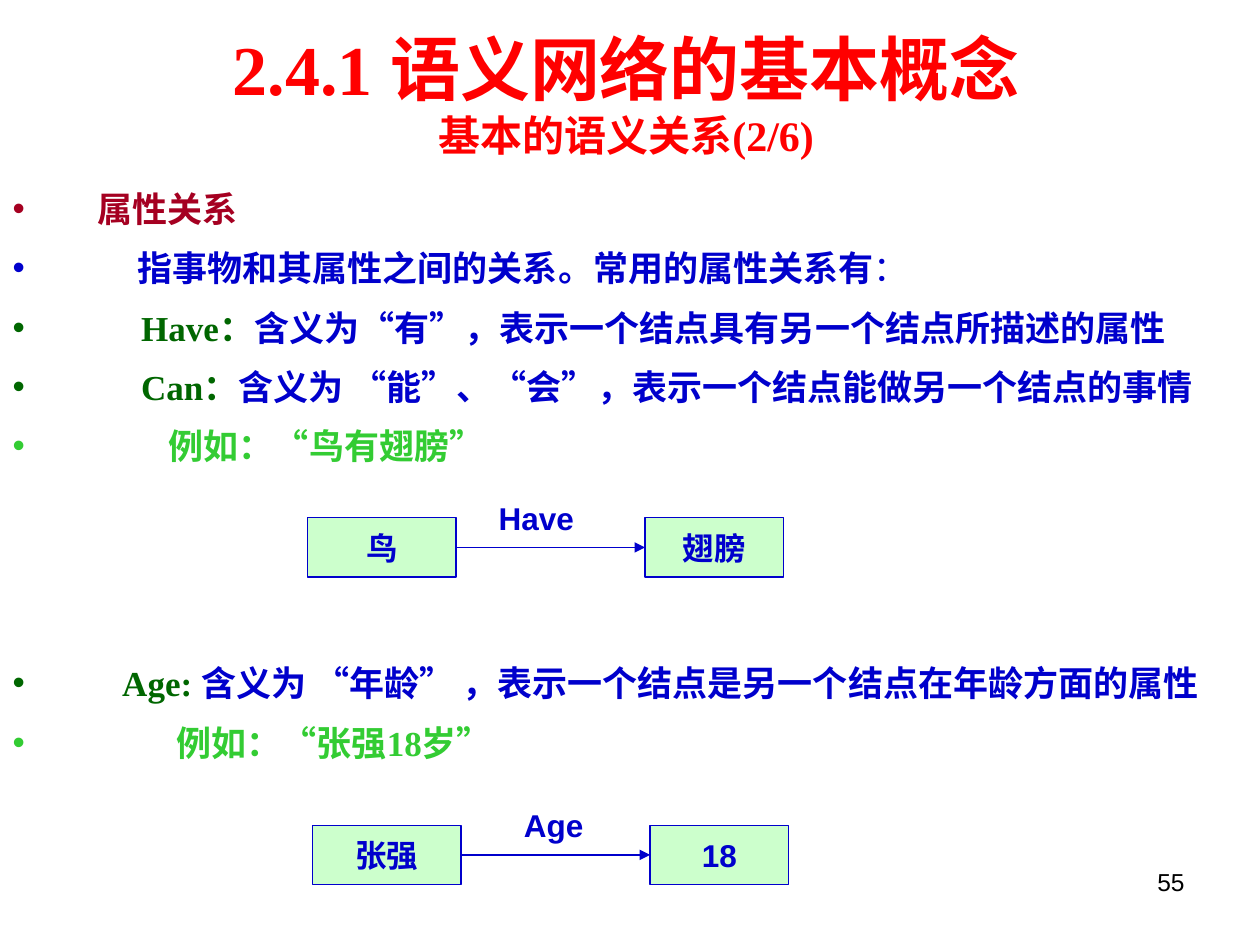
"""Build the slide on attribute relations in semantic networks."""
from dataclasses import dataclass

from lxml import etree
from pptx import Presentation
from pptx.dml.color import RGBColor
from pptx.enum.shapes import MSO_CONNECTOR, MSO_SHAPE
from pptx.enum.text import MSO_ANCHOR, MSO_AUTO_SIZE, PP_ALIGN
from pptx.oxml.ns import qn
from pptx.util import Inches, Pt

RECT = MSO_SHAPE.RECTANGLE
STRAIGHT = MSO_CONNECTOR.STRAIGHT
MIDDLE = MSO_ANCHOR.MIDDLE
NO_FIT = MSO_AUTO_SIZE.NONE
LEFT, CENTER, RIGHT = PP_ALIGN.LEFT, PP_ALIGN.CENTER, PP_ALIGN.RIGHT

SERIF, SANS = "Times New Roman", "Arial"
RED, MAROON, BLUE = "FF0000", "A50021", "0000CC"
GREEN, LIME, MINT, BLACK = "006600", "33CC33", "CCFFCC", "000000"


@dataclass
class Bullet:
    """A body line: coloured lead, then blue rest."""
    lead: str
    color: str
    indent: float
    rest: str = ""
    rest_bold: bool = True
    before: float = 6.2


@dataclass
class Relation:
    """Two nodes joined by a labelled arrow."""
    left: float
    top: float
    source: str
    target: str
    label: str
    label_left: float
    label_width: float


BULLETS = [
    Bullet("属性关系", MAROON, 0.67),
    Bullet("指事物和其属性之间的关系。常用的属性关系有", BLUE, 0.99, "：", rest_bold=False),
    Bullet("Have：", GREEN, 1.02, "含义为“有”，表示一个结点具有另一个结点所描述的属性"),
    Bullet("Can：", GREEN, 1.02, "含义为 “能”、“会”，表示一个结点能做另一个结点的事情"),
    Bullet("例如：“鸟有翅膀”", LIME, 1.24),
    Bullet("Age: ", GREEN, 0.87, "含义为 “年龄” ，表示一个结点是另一个结点在年龄方面的属性", before=108),
    Bullet("例如：“张强18岁”", LIME, 1.3),
]
RELATIONS = [
    Relation(2.44, 4.11, "鸟", "翅膀", "Have", 3.86, 1.02),
    Relation(2.48, 6.55, "张强", "18", "Age", 4.06, 0.71),
]


def rgb(color: str) -> RGBColor:
    """Turn a hex string into a colour."""
    return RGBColor.from_string(color)


def set_font(font, name: str, size: float, color: str, bold: bool = True) -> None:
    """Set the face, size, colour and weight of a font."""
    font.name, font.size, font.bold = name, Pt(size), bold
    font.color.rgb = rgb(color)


def place(sp, left: float, top: float, width: float, height: float) -> None:
    """Move and size a shape in inches."""
    sp.left, sp.top = Inches(left), Inches(top)
    sp.width, sp.height = Inches(width), Inches(height)


def add_run(p, text: str):
    """Append a run of text to a paragraph."""
    r = p.add_run()
    r.text = text
    return r


def fill_title(sp) -> None:
    """Write the two-line heading."""
    place(sp, 0.47, 0.21, 9, 1.06)
    tf = sp.text_frame
    tf.auto_size, tf.vertical_anchor = NO_FIT, MIDDLE
    p = tf.paragraphs[0]
    p.alignment = CENTER
    set_font(p.font, SERIF, 40, RED)
    add_run(p, "2.4.1 语义网络的基本概念")
    p.add_line_break()
    add_run(p, "基本的语义关系(2/6)").font.size = Pt(24)


def fill_body(sp, bullets: list[Bullet]) -> None:
    """Write the bulleted lines."""
    place(sp, 0, 1.39, 10, 6.11)
    tf = sp.text_frame
    tf.auto_size = NO_FIT
    for i, bullet in enumerate(bullets):
        p = tf.add_paragraph() if i else tf.paragraphs[0]
        p.line_spacing, p.space_before = 1.15, Pt(bullet.before)
        set_font(p.font, SERIF, 20, bullet.color)
        indent = Inches(bullet.indent)
        pPr = p._p.get_or_add_pPr()
        pPr.set("marL", str(indent))
        pPr.set("indent", str(-indent))
        add_run(p, bullet.lead)
        if bullet.rest:
            r = add_run(p, bullet.rest)
            r.font.color.rgb = rgb(BLUE)
            r.font.bold = bullet.rest_bold


def add_label(s, text: str, left: float, top: float, width: float, height: float,
              size: float, color: str, bold: bool, align) -> None:
    """Add a one-line text box."""
    sp = s.shapes.add_textbox(0, 0, 0, 0)
    place(sp, left, top, width, height)
    tf = sp.text_frame
    tf.word_wrap = True
    p = tf.paragraphs[0]
    p.alignment = align
    set_font(p.font, SANS, size, color, bold)
    add_run(p, text)


def add_node(s, text: str, left: float, top: float, width: float, height: float) -> None:
    """Add a node box with centred text."""
    sp = s.shapes.add_shape(RECT, 0, 0, 0, 0)
    place(sp, left, top, width, height)
    sp.shadow.inherit = False
    sp.fill.solid()
    sp.fill.fore_color.rgb = rgb(MINT)
    sp.line.color.rgb = rgb(BLUE)
    sp.line.width = Pt(0.75)
    tf = sp.text_frame
    tf.word_wrap, tf.vertical_anchor = False, MIDDLE
    p = tf.paragraphs[0]
    p.alignment = CENTER
    set_font(p.font, SANS, 18, BLUE)
    add_run(p, text)


def add_arrow(s, x1: float, x2: float, y: float) -> None:
    """Add a horizontal arrow."""
    sp = s.shapes.add_connector(STRAIGHT, Inches(x1), Inches(y), Inches(x2), Inches(y))
    sp.line.color.rgb = rgb(BLUE)
    sp.line.width = Pt(0.75)
    etree.SubElement(sp.line._get_or_add_ln(), qn("a:tailEnd"), type="triangle")
    etree.SubElement(sp._element.spPr, qn("a:effectLst"))


def add_relation(s, rel: Relation) -> None:
    """Draw two nodes, their arrow and its label."""
    width, gap, height = 1.18, 1.5, 0.47
    start = rel.left + width
    end = start + gap
    add_node(s, rel.source, rel.left, rel.top, width, height)
    add_node(s, rel.target, end, rel.top, 1.1, height)
    add_arrow(s, start, end, rel.top + height / 2)
    add_label(s, rel.label, rel.label_left, rel.top - 0.2, rel.label_width, 0.4,
              18, BLUE, True, LEFT)


def main() -> None:
    """Build and save the slide."""
    prs = Presentation()
    prs.slide_width, prs.slide_height = Inches(10), Inches(7.5)
    s = prs.slides.add_slide(prs.slide_layouts[1])
    fill_title(s.shapes.title)
    fill_body(s.placeholders[1], BULLETS)
    for rel in RELATIONS:
        add_relation(s, rel)
    add_label(s, "55", 7.17, 6.83, 2.33, 0.52, 14, BLACK, False, RIGHT)
    prs.save("out.pptx")


if __name__ == "__main__":
    main()
